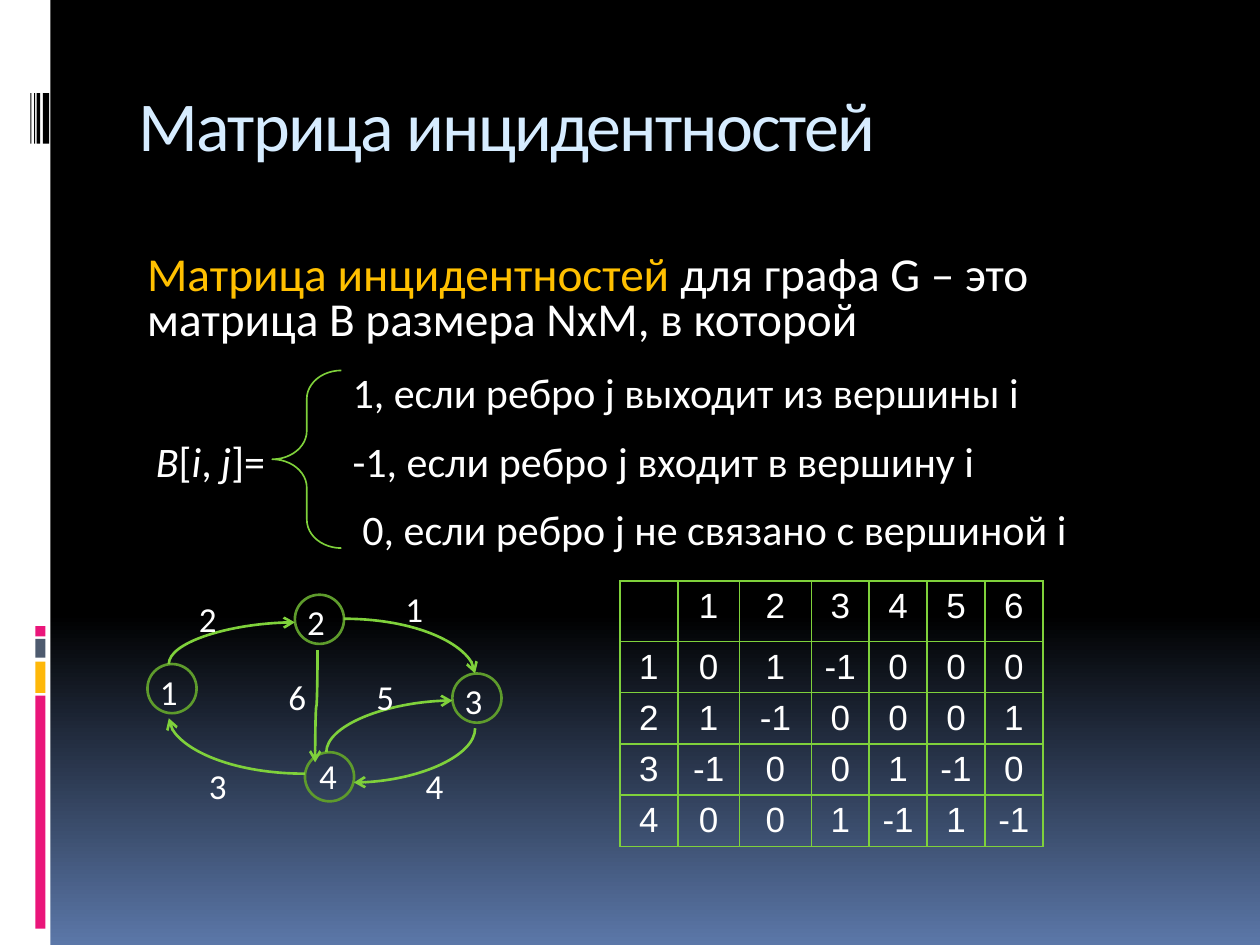
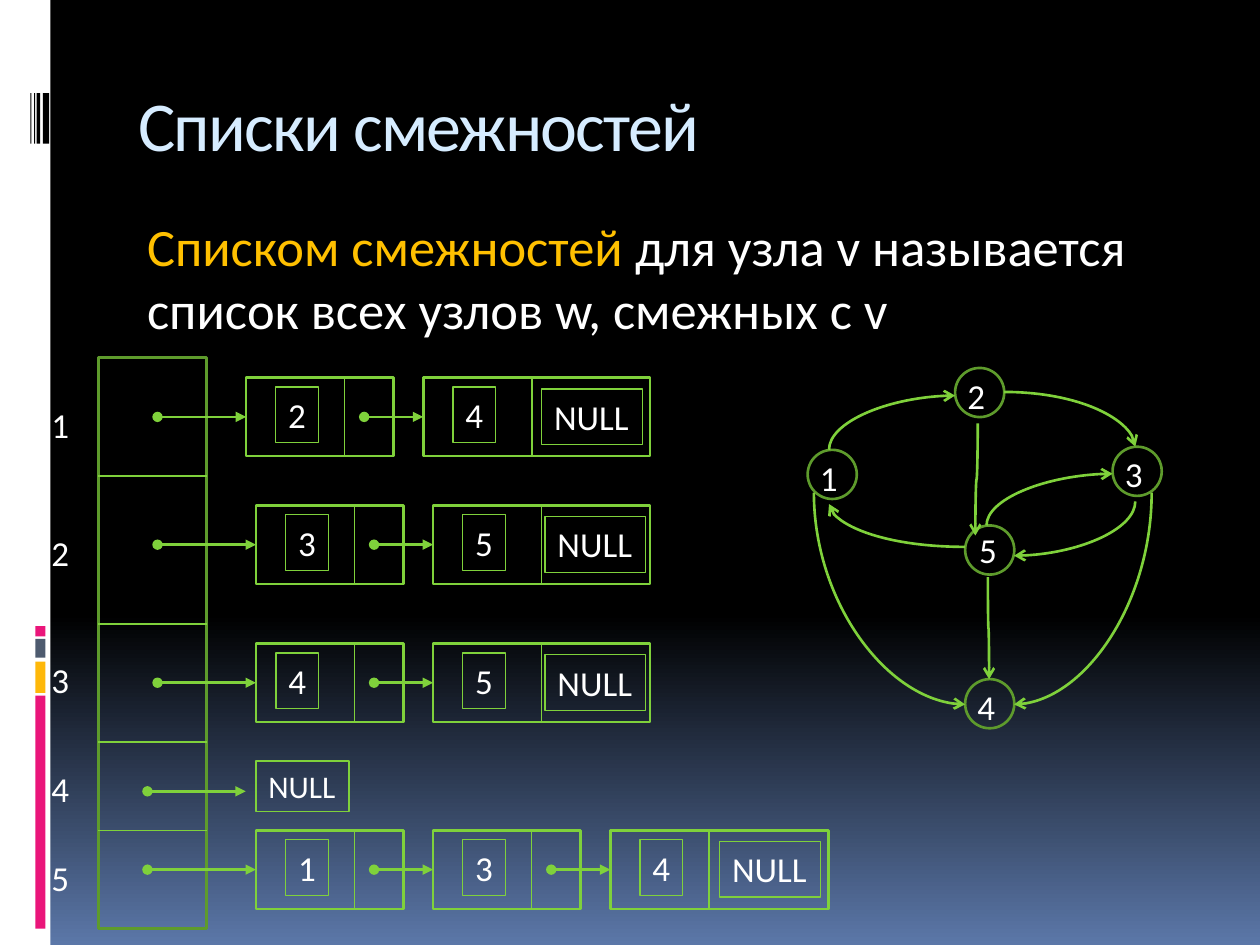
import lxml.etree
import pptx
import pptx.dml.color
import pptx.enum.dml
import pptx.enum.shapes
import pptx.enum.text
import pptx.oxml.ns
import pptx.util

Pt = pptx.util.Pt
RGB = pptx.dml.color.RGBColor
SHAPE = pptx.enum.shapes.MSO_SHAPE
CONNECTOR = pptx.enum.shapes.MSO_CONNECTOR
qn = pptx.oxml.ns.qn

BLACK = RGB(0x00, 0x00, 0x00)
WHITE = RGB(0xFF, 0xFF, 0xFF)
SKY = RGB(0x5B, 0x77, 0xA8)
PINK = RGB(0xEA, 0x15, 0x7A)
AMBER = RGB(0xFE, 0xB8, 0x0A)
SLATE = RGB(0x4E, 0x5B, 0x6F)
PALE = RGB(0xD6, 0xEC, 0xFF)
GOLD = RGB(0xFF, 0xC0, 0x00)
GREEN = RGB(0x7F, 0xD1, 0x3B)
DARK_GREEN = RGB(0x5E, 0x9B, 0x2C)

BANDS = [
    (0, 0, 28.8, 540, WHITE),
    (20.15, 397.45, 5.75, 133.2, PINK),
    (20.15, 378, 5.75, 18, AMBER),
    (20.15, 365.05, 5.75, 10.8, SLATE),
    (20.15, 357.85, 5.75, 5.75, PINK),
    (24.5, 53.3, 3.6, 28.8, BLACK),
    (20.9, 53.3, 2.15, 28.8, BLACK),
    (19.45, 53.3, 0.7, 28.8, BLACK),
    (17.3, 53.3, 0.7, 28.8, BLACK),
]
DIGIT_W, DIGIT_H = 24.5, 31.7
NODE = 28.1


class Deck:
    def __init__(self):
        self.prs = pptx.Presentation()
        self.prs.slide_width, self.prs.slide_height = Pt(720), Pt(540)
        self.s = None

    def slide(self, title):
        self.s = self.prs.slides.add_slide(self.prs.slide_layouts[6])
        fill = self.s.background.fill
        fill.gradient()
        fill.gradient_angle = 270
        for stop, color, position in zip(fill.gradient_stops, (BLACK, SKY), (0.65, 1)):
            stop.color.rgb = color
            stop.position = position
        for x, y, w, h, color in BANDS:
            self.shape(SHAPE.RECTANGLE, x, y, w, h, fill=color)
        tf = self.text(72, 40.3, 612, 72, [(title, PALE)], 40, top=6)
        tf.paragraphs[0].runs[0].font._element.set("spc", "-100")

    def body(self, y, size, term, rest, spacing=None):
        tf = self.text(77, y, 607, 360, [(term, GOLD), (rest, WHITE)], size, top=5.5)
        tf.paragraphs[0].line_spacing = spacing

    def shape(self, kind, x, y, w, h, fill=None, line=None, width=1.5):
        sp = self.s.shapes.add_shape(kind, Pt(x), Pt(y), Pt(w), Pt(h))
        sp.shadow.inherit = False
        if fill is None:
            sp.fill.background()
        else:
            sp.fill.solid()
            sp.fill.fore_color.rgb = fill
        if line is None:
            sp.line.fill.background()
        else:
            sp.line.color.rgb = line
            sp.line.width = Pt(width)
        return sp

    def run(self, p, text, size, color=WHITE, italic=False, font="Calibri"):
        r = p.add_run()
        r.text = text
        r.font.size = Pt(size)
        r.font.name = font
        r.font.color.rgb = color
        r.font.italic = italic

    def text(self, x, y, w, h, runs, size, top=3.6, wrap=True, boxed=False):
        sp = self.s.shapes.add_textbox(Pt(x), Pt(y), Pt(w), Pt(h))
        if boxed:
            sp.line.color.rgb = GREEN
            sp.line.width = Pt(0.75)
        tf = sp.text_frame
        tf.word_wrap = wrap
        tf.margin_top = Pt(top)
        for r in runs:
            self.run(tf.paragraphs[0], r[0], size, *r[1:])
        return tf

    def digit(self, x, y, text, boxed=False):
        self.text(x, y, DIGIT_W, DIGIT_H, [(text,)], 20, wrap=False, boxed=boxed)

    def null(self, x, y, w=57.6, h=DIGIT_H, size=20):
        self.text(x, y, w, h, [("NULL",)], size, wrap=False, boxed=True)

    def line(self, x1, y1, x2, y2, width=0.94, head=None, tail=None, kind=CONNECTOR.STRAIGHT):
        c = self.s.shapes.add_connector(kind, Pt(x1), Pt(y1), Pt(x2), Pt(y2))
        c.line.color.rgb = GREEN
        c.line.width = Pt(width)
        spPr = c._element.spPr
        for tag, end in (("a:headEnd", head), ("a:tailEnd", tail)):
            if end:
                lxml.etree.SubElement(spPr.find(qn("a:ln")), qn(tag), type=end)
        lxml.etree.SubElement(spPr, qn("a:effectLst"))
        return c

    def pointer(self, x, y, x2, target=None):
        c = self.line(x, y, x2, y, 1.5, "oval", "triangle")
        if target is not None:
            c.end_connect(target, 1)

    def edge(self, x1, y1, x2, y2, vertical=True, bends=1):
        if vertical:
            cx, cy = (x1 + x2) / 2, (y1 + y2) / 2
            dx, dy = (x2 - x1) / 2, (y2 - y1) / 2
            x1, y1, x2, y2 = cx - dy, cy + dx, cx + dy, cy - dx
        c = self.line(x1, y1, x2, y2, 1.5, tail="arrow", kind=CONNECTOR.CURVE)
        spPr = c._element.spPr
        spPr.find(qn("a:prstGeom")).set("prst", f"curvedConnector{bends + 1}")
        if vertical:
            spPr.find(qn("a:xfrm")).set("rot", "5400000")

    def node(self, x, y, text, dx=0, dy=0):
        self.shape(SHAPE.OVAL, x, y, NODE, NODE, line=DARK_GREEN)
        self.digit(x + dx, y + dy, text)

    def graph(self, x, y, first_y, center):
        self.node(x, y + first_y, "1")
        self.node(x + 84.25, y, "2")
        self.node(x + 174.25, y + 45, "3")
        self.node(x + 90, y + 90, center, 1, -2)
        for x1, y1, x2, y2, vertical, bends in [
            (12.25, first_y, 84.25, 15.85, True, 1),
            (187.25, 76.3, 118, 107.3, True, 1),
            (97.2, 31.7, 95.8, 95.8, True, 2),
            (102.25, 90, 174.25, 60.5, True, 1),
            (90, 102.25, 12.25, first_y + 31, False, 1),
            (112.25, 13.75, 187.25, 45, False, 1),
        ]:
            self.edge(x + x1, y + y1, x + x2, y + y2, vertical, bends)

    def table(self, x, y, cols, rows, values):
        frame = self.s.shapes.add_table(
            len(rows), len(cols), Pt(x), Pt(y), Pt(sum(cols)), Pt(sum(rows)))
        t = frame.table
        t.first_row = t.horz_banding = False
        for col, w in zip(t.columns, cols):
            col.width = Pt(w)
        for row, h, texts in zip(t.rows, rows, values):
            row.height = Pt(h)
            for cell, text in zip(row.cells, texts):
                self.cell(cell, text)

    def cell(self, cell, text):
        cell.margin_left = cell.margin_right = Pt(5)
        cell.margin_top = cell.margin_bottom = 0
        tcPr = cell._tc.get_or_add_tcPr()
        for side in "LRTB":
            ln = lxml.etree.SubElement(tcPr, qn(f"a:ln{side}"), w=str(Pt(1)))
            fill = lxml.etree.SubElement(ln, qn("a:solidFill"))
            lxml.etree.SubElement(fill, qn("a:srgbClr"), val=str(GREEN))
        cell.fill.background()
        if text:
            p = cell.text_frame.paragraphs[0]
            p.alignment = pptx.enum.text.PP_ALIGN.CENTER
            p.line_spacing = 1.15
            self.run(p, text, 20, font="Arial")

    def linked_list(self, start, x, y, values, last_w, last_split, null_dx, first_dx=17):
        h, step = 44.9, 101.25
        mid = y + h / 2
        for i, value in enumerate(values):
            last = i == len(values) - 1
            w, split = (last_w, last_split) if last else (84.25, 56.25)
            sp = self.shape(SHAPE.RECTANGLE, x, y, w, h, line=GREEN)
            divider = self.line(x + split, y, x + split, y + h)
            if split * 2 == w:
                divider.begin_connect(sp, 0)
                divider.end_connect(sp, 2)
            self.pointer(start, mid, x, sp)
            self.digit(x + (17 if i else first_dx), y + 5.4, value, boxed=True)
            if last:
                self.null(x + null_dx, y + 6.5)
            start = x + 67.5
            x += step


def incidence_slide(d):
    d.slide("Матрица инцидентностей")
    d.body(140.4, 27, "Матрица инцидентностей ",
           "для графа G – это матрица B размера NхM, в которой", 0.8)
    d.text(82, 245.5, 84.25, 36.7, [
        ("B", WHITE, True), ("[",), ("i", WHITE, True), (", ",), ("j", WHITE, True), ("]=",)], 24)
    brace = d.shape(SHAPE.LEFT_BRACE, 155.5, 211.7, 39.6, 101.5, line=GREEN, width=0.94)
    brace.adjustments[0] = 0.41
    for x, y, w, case in [
        (194.4, 206, 410.4, "1, если ребро j выходит из вершины i"),
        (194.4, 245.5, 410.4, "-1, если ребро j входит в вершину i"),
        (200, 284.4, 466.6, "0, если ребро j не связано с вершиной i"),
    ]:
        d.text(x, y, w, 36.7, [(case,)], 24)
    d.graph(84.25, 339.85, 39.6, "4")
    for x, y, number in [
        (224.6, 332, "1"), (106.6, 337.7, "2"), (112.3, 433.4, "3"),
        (236.2, 433.4, "4"), (208, 382.3, "5"), (157.7, 382.3, "6"),
    ]:
        d.digit(x, y, number)
    d.table(354.25, 332, [33.1, 35.3, 41] + [33.1] * 4, [34.6] + [29.3] * 4, [
        ["", "1", "2", "3", "4", "5", "6"],
        ["1", "0", "1", "-1", "0", "0", "0"],
        ["2", "1", "-1", "0", "0", "0", "1"],
        ["3", "-1", "0", "0", "1", "-1", "0"],
        ["4", "0", "0", "1", "-1", "1", "-1"],
    ])


def adjacency_slide(d):
    d.slide("Списки смежностей")
    d.body(116.65, 30, "Списком смежностей ",
           "для узла v называется список всех узлов w, смежных с v")
    x, y = 461.5, 210.25
    d.graph(x, y, 46.8, "5")
    d.node(x + 90, y + 177.85, "4")
    d.edge(x + 3.6, y + 71.3, x + 90, y + 192.25)
    d.edge(x + 103, y + 119.5, x + 103.7, y + 177.85, bends=2)
    d.edge(x + 196.6, y + 71.3, x + 118, y + 192.25)

    left, width = 56.25, 61.9
    d.shape(SHAPE.RECTANGLE, left, 204.5, width, 326.2, line=DARK_GREEN)
    for y in (272, 356.4, 424, 474.5):
        d.line(left + width, y, left, y)
    for i, y in enumerate((226.8, 300.25, 373, 434.9, 486), 1):
        d.digit(22.3, y, str(i))
    d.linked_list(90, 140.6, 215.8, "24", 129.6, 62, 67.7)
    d.linked_list(90, 146.25, 288.8, "35", 124, 62, 64)
    d.linked_list(90, 146.25, 367.7, "45", 124, 62, 64, 11.4)
    d.pointer(84.25, 452.2, 140.4)
    d.null(146.25, 434.9, 53.3, 28.8, 18)
    d.linked_list(84.25, 146.25, 474.5, "134", 124.6, 56.25, 62.5)


def main():
    d = Deck()
    incidence_slide(d)
    adjacency_slide(d)
    d.prs.save("out.pptx")


if __name__ == "__main__":
    main()
